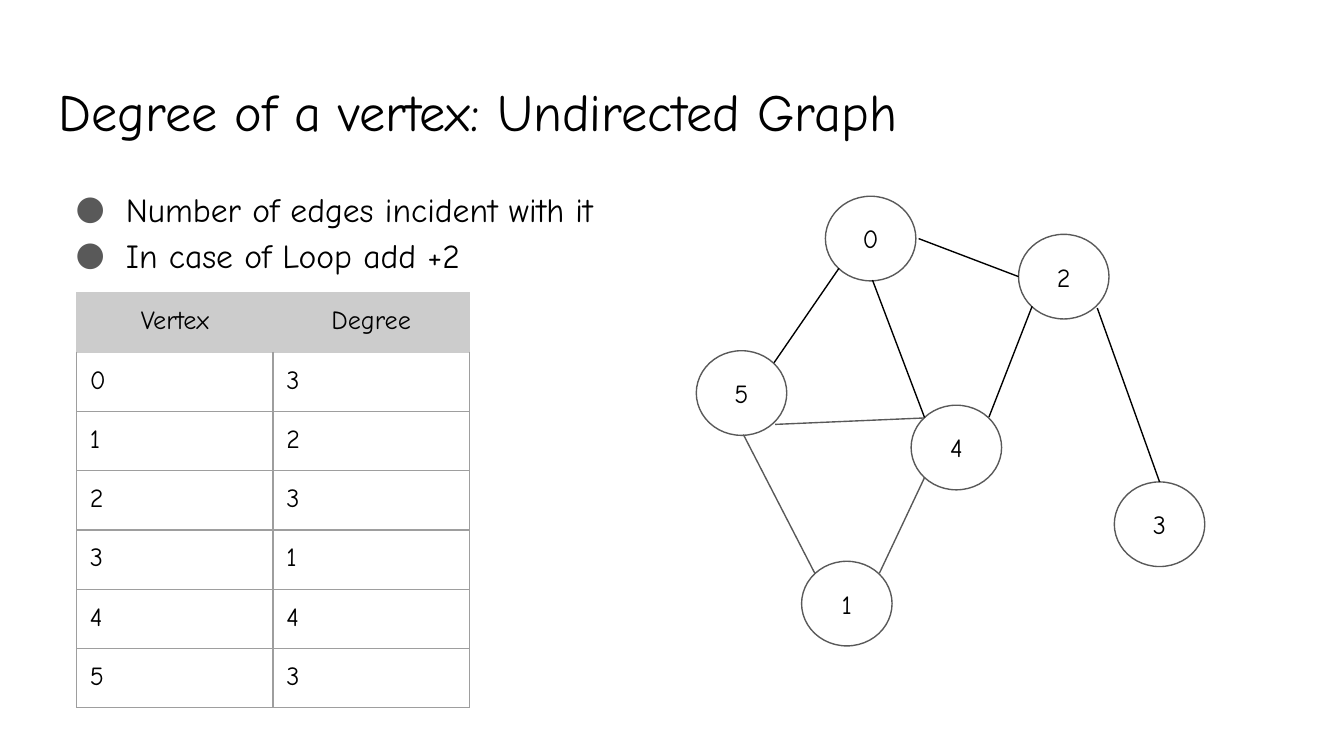
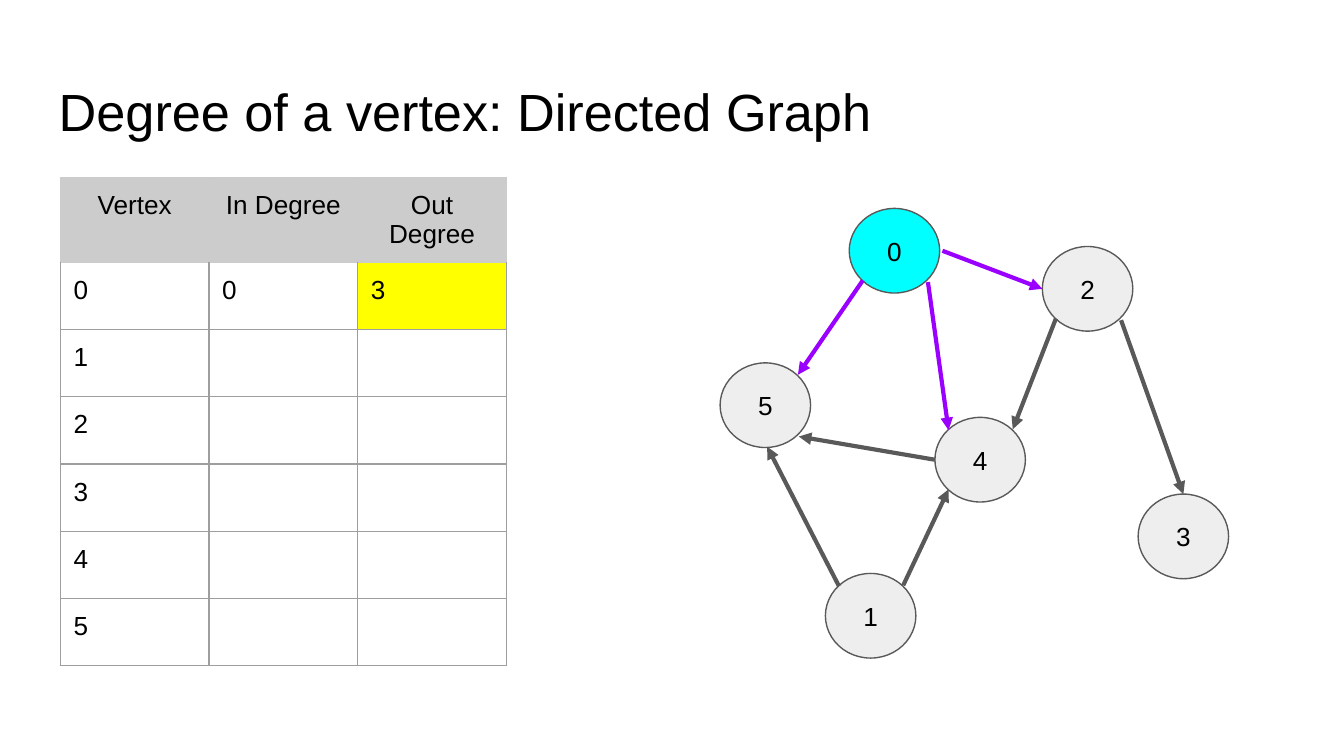
from dataclasses import dataclass

from lxml.etree import SubElement
from pptx import Presentation
from pptx.dml.color import RGBColor as Rgb
from pptx.enum.shapes import MSO_CONNECTOR as Connector, MSO_SHAPE as Shape
from pptx.enum.text import MSO_ANCHOR as Anchor, MSO_AUTO_SIZE as AutoSize, PP_ALIGN as Align
from pptx.oxml.ns import qn
from pptx.util import Cm, Pt


@dataclass(frozen=True)
class Theme:
    black: Rgb = Rgb(0, 0, 0)
    gray: Rgb = Rgb.from_string("595959")
    border: Rgb = Rgb.from_string("9E9E9E")
    header: Rgb = Rgb.from_string("CCCCCC")
    node: Rgb = Rgb.from_string("EEEEEE")
    cyan: Rgb = Rgb.from_string("00FFFF")
    yellow: Rgb = Rgb.from_string("FFFF00")
    purple: Rgb = Rgb.from_string("9900FF")
    hand_font: str = "Comic Neue"
    plain_font: str = "Arial"
    title_size: int = 28
    body_size: int = 18
    label_size: int = 14
    thin: float = 0.75
    thick: float = 2.25
    inset: float = 0.25


THEME = Theme()
NODE_WIDTH, NODE_HEIGHT = 1.71, 1.6
NODES = {
    0: (2.44, 0),
    1: (1.99, 6.9),
    2: (6.09, 0.72),
    3: (7.9, 5.4),
    4: (4.06, 3.95),
    5: (0, 2.92),
}
SITES = {
    "top": (0.5, 0),
    "left": (0, 0.5),
    "bottom": (0.52, 0.99),
    "right": (1.03, 0.5),
    "top left": (0.15, 0.15),
    "top right": (0.86, 0.14),
    "bottom left": (0.15, 0.85),
    "bottom right": (0.87, 0.87),
}
SHARED_EDGES = [
    (0, "bottom left", 5, "top right"),
    (0, "right", 2, "left"),
    (1, "top left", 5, "bottom"),
    (1, "top right", 4, "bottom left"),
    (2, "bottom left", 4, "top right"),
    (2, "bottom right", 3, "top"),
]
UNDIRECTED_EDGES = SHARED_EDGES + [
    (0, "bottom", 4, "top left"),
    (4, "top left", 5, "bottom right"),
]
DIRECTED_EDGES = SHARED_EDGES + [
    (0, "bottom right", 4, "top left"),
    (4, "left", 5, "bottom right"),
]


def write(para, text, *, font, size=THEME.label_size, align=Align.LEFT):
    para.alignment = align
    span = para.add_run()
    span.text = text
    span.font.name = font
    span.font.size = Pt(size)
    span.font.color.rgb = THEME.black


def set_frame(frame, anchor=Anchor.TOP):
    frame.word_wrap = True
    frame.auto_size = AutoSize.NONE
    frame.vertical_anchor = anchor
    frame.margin_left = frame.margin_right = Cm(THEME.inset)
    frame.margin_top = frame.margin_bottom = Cm(THEME.inset)


def add_page(deck, title, font):
    page = deck.slides.add_slide(deck.slide_layouts[5])
    box = page.shapes.title
    box.left, box.top, box.width, box.height = Cm(0.86), Cm(1.24), Cm(23.67), Cm(1.6)
    set_frame(box.text_frame)
    write(box.text_frame.paragraphs[0], title, font=font, size=THEME.title_size)
    return page


def add_bullets(page, lines, font):
    box = page.shapes.add_textbox(Cm(0.86), Cm(3.2), Cm(23.67), Cm(9.5))
    frame = box.text_frame
    set_frame(frame)
    for index, line in enumerate(lines):
        para = frame.add_paragraph() if index else frame.paragraphs[0]
        para.line_spacing = 1.15
        properties = para._p.get_or_add_pPr()
        properties.set("marL", str(Cm(1.27)))
        properties.set("indent", str(-Cm(0.95)))
        color = SubElement(properties, qn("a:buClr"))
        SubElement(color, qn("a:srgbClr"), val=str(THEME.gray))
        SubElement(properties, qn("a:buFont"), typeface=font)
        SubElement(properties, qn("a:buChar"), char="●")
        write(para, line, font=font, size=THEME.body_size)


def set_borders(cell, color, top_color):
    properties = cell._tc.get_or_add_tcPr()
    for side in "LRTB":
        line = SubElement(properties, qn(f"a:ln{side}"), w=str(Pt(THEME.thin)))
        fill = SubElement(line, qn("a:solidFill"))
        SubElement(fill, qn("a:srgbClr"), val=str(top_color if side == "T" else color))


def add_degree_table(page, rows, *, left, top, column, row_height, font, highlights=()):
    columns = len(rows[0])
    table = page.shapes.add_table(
        len(rows), columns, Cm(left), Cm(top), Cm(column * columns), Cm(row_height * len(rows))
    ).table
    table.first_row = table.horz_banding = False
    for table_column in table.columns:
        table_column.width = Cm(column)
    for row, values in enumerate(rows):
        table.rows[row].height = Cm(row_height)
        for position, value in enumerate(values):
            cell = table.cell(row, position)
            cell.margin_left = cell.margin_right = Cm(THEME.inset)
            cell.margin_top = cell.margin_bottom = Cm(THEME.inset)
            set_borders(
                cell,
                THEME.border if row else THEME.header,
                THEME.border if row > 1 else THEME.header,
            )
            fill = THEME.yellow if (row, position) in highlights else None
            fill = fill if row else THEME.header
            set_fill(cell.fill, fill)
            align = Align.LEFT if row else Align.CENTER
            write(cell.text_frame.paragraphs[0], str(value), font=font, align=align)


def set_fill(fill, color):
    if color is None:
        fill.background()
    else:
        fill.solid()
        fill.fore_color.rgb = color


def add_node(page, label, left, top, fill, font):
    node = page.shapes.add_shape(
        Shape.FLOWCHART_CONNECTOR, Cm(left), Cm(top), Cm(NODE_WIDTH), Cm(NODE_HEIGHT)
    )
    node.shadow.inherit = False
    set_fill(node.fill, fill)
    node.line.color.rgb = THEME.gray
    node.line.width = Pt(THEME.thin)
    set_frame(node.text_frame, Anchor.MIDDLE)
    write(node.text_frame.paragraphs[0], str(label), font=font, align=Align.CENTER)


def add_edge(page, start, end, color, width, arrow):
    edge = page.shapes.add_connector(Connector.STRAIGHT, *start, *end)
    edge.line.color.rgb = color
    edge.line.width = Pt(width)
    if arrow:
        SubElement(edge.line._get_or_add_ln(), qn("a:tailEnd"), type="triangle")
    SubElement(edge._element.spPr, qn("a:effectLst"))


def add_graph(page, edges, *, left, top, font, edge_colors, fill=None, node_fills=None,
              width=THEME.thin, arrow=False):
    def point(label, site):
        x, y = NODES[label]
        across, down = SITES[site]
        return Cm(left + x + across * NODE_WIDTH), Cm(top + y + down * NODE_HEIGHT)

    for label, (x, y) in NODES.items():
        add_node(page, label, left + x, top + y, (node_fills or {}).get(label, fill), font)
    for source, source_site, target, target_site in edges:
        color = edge_colors.get(source, THEME.gray)
        add_edge(page, point(source, source_site), point(target, target_site), color, width, arrow)


def add_undirected_page(deck):
    font = THEME.hand_font
    page = add_page(deck, "Degree of a vertex: Undirected Graph", font)
    add_bullets(page, ["Number of edges incident with it", "In case of Loop add +2"], font)
    degrees = [3, 2, 3, 1, 4, 3]
    rows = [("Vertex", "Degree"), *enumerate(degrees)]
    add_degree_table(page, rows, left=1.45, top=5.54, column=3.71, row_height=1.12, font=font)
    add_graph(
        page, UNDIRECTED_EDGES, left=13.16, top=3.71, font=font,
        edge_colors={0: THEME.black, 2: THEME.black},
    )


def add_directed_page(deck):
    font = THEME.plain_font
    page = add_page(deck, "Degree of a vertex: Directed Graph", font)
    rows = [("Vertex", "In Degree", "Out Degree"), (0, 0, 3)]
    rows += [(vertex, "", "") for vertex in range(1, 6)]
    add_graph(
        page, DIRECTED_EDGES, left=13.61, top=3.94, font=font,
        edge_colors={0: THEME.purple}, fill=THEME.node, node_fills={0: THEME.cyan},
        width=THEME.thick, arrow=True,
    )
    add_degree_table(
        page, rows, left=1.14, top=3.35, column=2.81, row_height=1.27, font=font,
        highlights={(1, 2)},
    )


def main():
    deck = Presentation()
    deck.slide_width, deck.slide_height = Cm(25.4), Cm(14.29)
    add_undirected_page(deck)
    add_directed_page(deck)
    deck.save("out.pptx")


if __name__ == "__main__":
    main()
